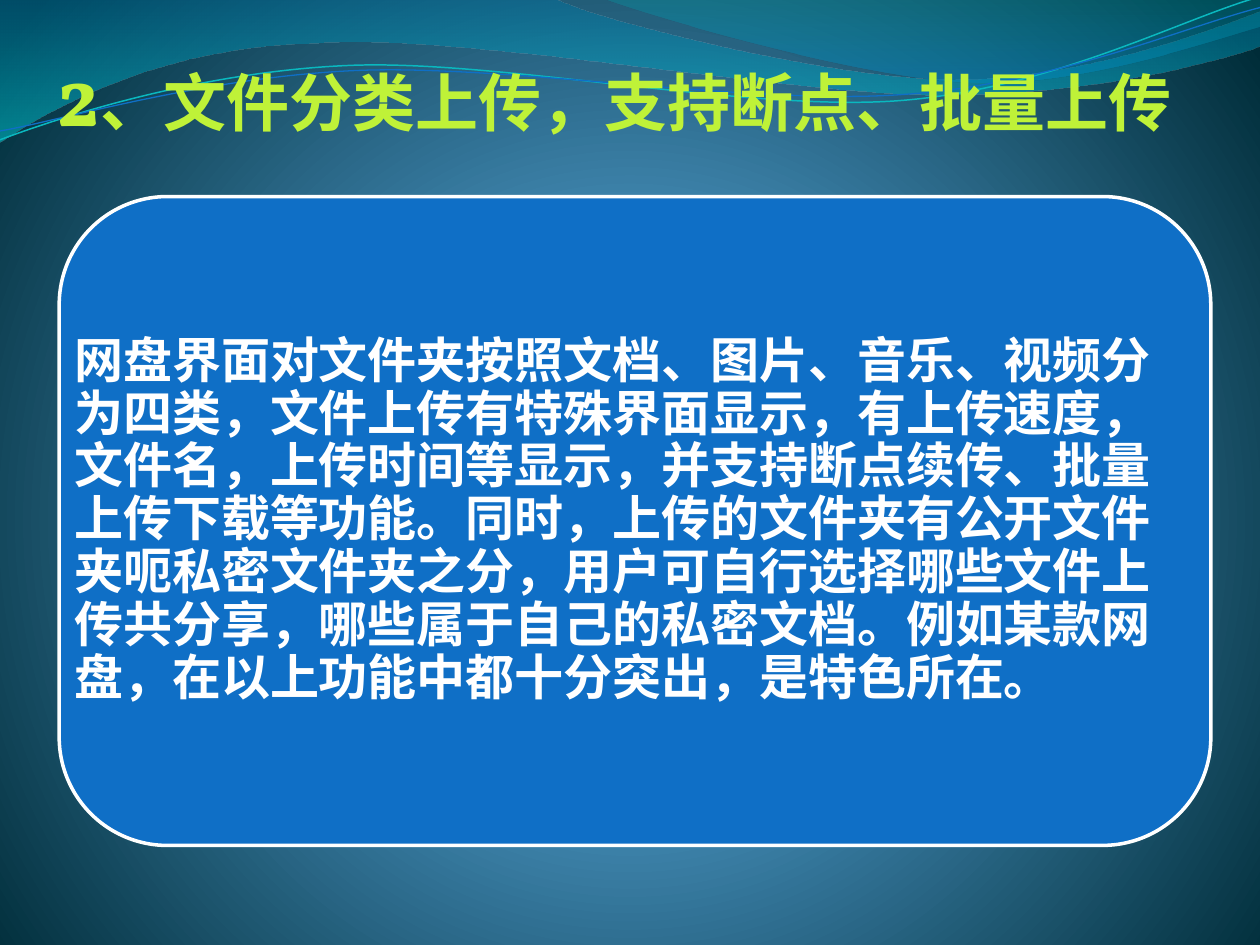
from dataclasses import dataclass
from itertools import chain
from typing import Optional

from lxml.etree import SubElement
from pptx import Presentation
from pptx.dml.color import RGBColor
from pptx.enum.shapes import MSO_SHAPE
from pptx.enum.text import MSO_ANCHOR, MSO_AUTO_SIZE, PP_ALIGN
from pptx.oxml.ns import qn
from pptx.slide import Slide
from pptx.util import Inches, Pt

Point = tuple[float, float]
Segment = tuple[Point, ...]


@dataclass(frozen=True)
class Stop:
    position: int
    color: str
    opacity: int = 100


@dataclass(frozen=True)
class Stroke:
    color: str
    width: float


@dataclass(frozen=True)
class Wave:
    start: Point
    segments: tuple[Segment, ...]
    gradient: tuple[Stop, ...] = ()
    stroke: Optional[Stroke] = None


@dataclass(frozen=True)
class Theme:
    title_color: str = "BFF238"
    card_color: str = "0F6FC6"
    white: str = "FFFFFF"
    title_font: str = "Vollkorn"
    body_font: str = "Arial"
    number_size: int = 48
    title_size: int = 36
    body_size: int = 28
    backdrop: tuple[Stop, ...] = (Stop(0, "4AA0D6"), Stop(25, "4C98C7"), Stop(100, "002C38"))


THEME = Theme()

WAVES = (
    Wave(
        (0, 0),
        (
            ((4.4, -0.01),),
            ((4.76, 0.17), (6.64, 0.63), (7.58, 0.63)),
            ((8.53, 0.63), (9.58, 0.26), (10, 0.09)),
            ((10.01, 0.36),),
            ((9.83, 0.44), (8.7, 0.76), (7.46, 0.75)),
            ((6.22, 0.75), (3.82, 0.28), (2.57, 0.34)),
            ((1.29, 0.36), (0.46, 0.83), (-0.01, 1.13)),
            ((0, 0),),
        ),
        gradient=(Stop(0, "0074A1", 45), Stop(100, "00C6CF", 55)),
    ),
    Wave(
        (4.79, -0.01),
        (
            ((5.09, 0.11), (6.82, 0.62), (7.69, 0.65)),
            ((8.56, 0.69), (9.61, 0.32), (10, 0.21)),
            ((10, 0),),
            ((4.79, -0.01),),
        ),
        gradient=(Stop(0, "00A1A9", 30), Stop(80, "008BBF", 45)),
    ),
    Wave(
        (0, 1.11),
        (
            ((0.48, 0.93), (1.58, 0.57), (2.77, 0.52)),
            ((3.95, 0.47), (5.93, 0.89), (7.13, 0.8)),
            ((8.33, 0.71), (9.38, 0.15), (9.98, -0.02)),
        ),
        stroke=Stroke("0AB8BF", 0.85),
    ),
    Wave(
        (0, 1.04),
        (
            ((0.47, 0.96), (1.64, 0.61), (2.83, 0.56)),
            ((4.03, 0.51), (5.97, 0.84), (7.17, 0.75)),
            ((8.36, 0.67), (9.41, 0.21), (10, 0.06)),
        ),
        stroke=Stroke("0F6FC6", 0.75),
    ),
)

TITLE_NUMBER = "2"
TITLE_WORDS = "、文件分类上传，支持断点、批量上传"
DESCRIPTION = (
    "网盘界面对文件夹按照文档、图片、音乐、视频分为四类，"
    "文件上传有特殊界面显示，有上传速度，文件名，上传时间等显示，"
    "并支持断点续传、批量上传下载等功能。"
    "同时，上传的文件夹有公开文件夹呃私密文件夹之分，"
    "用户可自行选择哪些文件上传共分享，哪些属于自己的私密文档。"
    "例如某款网盘，在以上功能中都十分突出，是特色所在。"
)
CARD_BOX = tuple(map(Inches, (0.47, 1.56, 9.14, 5.15)))


def set_gradient(gradient, stops: tuple[Stop, ...], circular: bool = False) -> None:
    for child in list(gradient):
        gradient.remove(child)
    stop_list = SubElement(gradient, qn("a:gsLst"))
    for stop in stops:
        entry = SubElement(stop_list, qn("a:gs"), pos=str(stop.position * 1000))
        color = SubElement(entry, qn("a:srgbClr"), val=stop.color)
        if stop.opacity < 100:
            SubElement(color, qn("a:alpha"), val=str(stop.opacity * 1000))
    if circular:
        circle = SubElement(gradient, qn("a:path"), path="circle")
        SubElement(circle, qn("a:fillToRect"), l="10000", t="110000", r="10000", b="100000")
    else:
        SubElement(gradient, qn("a:lin"), ang="5400000", scaled="0")


def bend_segments(outline, segments: tuple[Segment, ...]) -> None:
    straight = iter(outline.findall(qn("a:lnTo")))
    for segment in segments:
        steps = [next(straight) for _ in segment]
        if len(steps) == 3:
            curve = SubElement(outline, qn("a:cubicBezTo"))
            steps[0].addprevious(curve)
            for step in steps:
                curve.append(step[0])
                outline.remove(step)


def draw_wave(slide: Slide, wave: Wave) -> None:
    builder = slide.shapes.build_freeform(*map(Inches, wave.start))
    builder.add_line_segments(
        [(Inches(x), Inches(y)) for x, y in chain(*wave.segments)],
        close=bool(wave.gradient),
    )
    ribbon = builder.convert_to_shape()
    bend_segments(ribbon.element.find(".//" + qn("a:path")), wave.segments)
    ribbon.shadow.inherit = False
    if wave.gradient:
        ribbon.fill.gradient()
        set_gradient(ribbon.element.spPr.find(qn("a:gradFill")), wave.gradient)
    else:
        ribbon.fill.background()
    if wave.stroke:
        ribbon.line.color.rgb = RGBColor.from_string(wave.stroke.color)
        ribbon.line.width = Pt(wave.stroke.width)
    else:
        ribbon.line.fill.background()


def add_run(paragraph, words: str, size: int, font: str, color: str) -> None:
    run = paragraph.add_run()
    run.text = words
    run.font.size = Pt(size)
    run.font.name = font
    run.font.bold = True
    run.font.color.rgb = RGBColor.from_string(color)


def draw_title(slide: Slide) -> None:
    title = slide.shapes.title
    title.element.getparent().append(title.element)
    title.left, title.top, title.width, title.height = map(Inches, (0.35, 0.29, 9.14, 0.91))
    frame = title.text_frame
    frame.word_wrap = True
    frame.auto_size = MSO_AUTO_SIZE.SHAPE_TO_FIT_TEXT
    frame.vertical_anchor = MSO_ANCHOR.TOP
    heading = frame.paragraphs[0]
    heading.alignment = PP_ALIGN.LEFT
    for words, size in ((TITLE_NUMBER, THEME.number_size), (TITLE_WORDS, THEME.title_size)):
        add_run(heading, words, size, THEME.title_font, THEME.title_color)


def draw_card(slide: Slide) -> None:
    card = slide.shapes.add_shape(MSO_SHAPE.ROUNDED_RECTANGLE, *CARD_BOX)
    card.shadow.inherit = False
    card.fill.solid()
    card.fill.fore_color.rgb = RGBColor.from_string(THEME.card_color)
    card.line.color.rgb = RGBColor.from_string(THEME.white)
    card.line.width = Pt(2)


def draw_description(slide: Slide) -> None:
    frame = slide.shapes.add_textbox(*CARD_BOX).text_frame
    frame.word_wrap = True
    frame.vertical_anchor = MSO_ANCHOR.MIDDLE
    frame.margin_left = frame.margin_right = Inches(0.12)
    frame.margin_top = frame.margin_bottom = Inches(0.12)
    description = frame.paragraphs[0]
    description.line_spacing = 0.9
    add_run(description, DESCRIPTION, THEME.body_size, THEME.body_font, THEME.white)


presentation = Presentation()
presentation.slide_width, presentation.slide_height = Inches(10), Inches(7.5)
upload_slide = presentation.slides.add_slide(presentation.slide_layouts[5])
backdrop = upload_slide.background.fill
backdrop.gradient()
set_gradient(upload_slide.element.find(".//" + qn("a:gradFill")), THEME.backdrop, circular=True)
for wave in WAVES:
    draw_wave(upload_slide, wave)
draw_title(upload_slide)
draw_card(upload_slide)
draw_description(upload_slide)
presentation.save("out.pptx")
